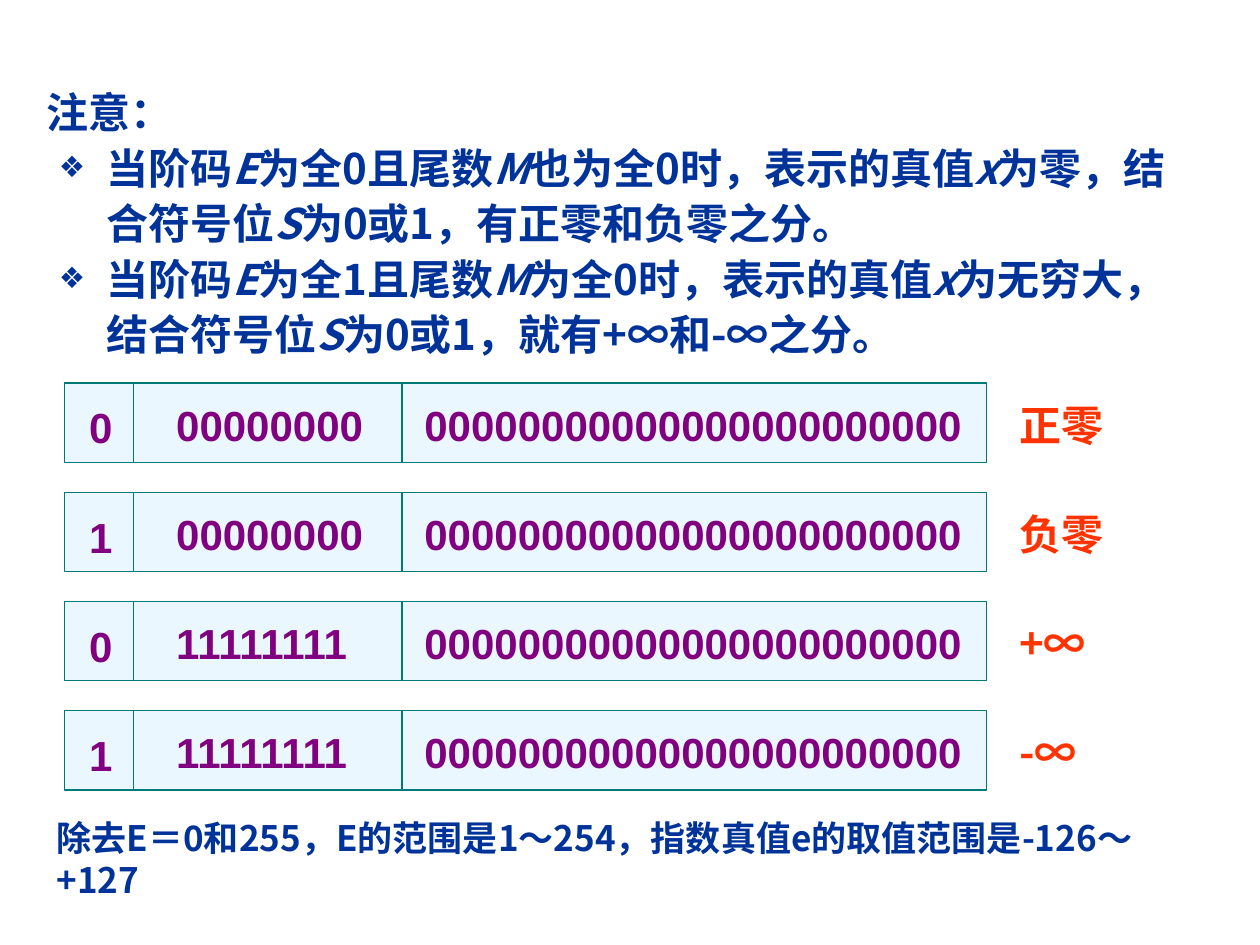
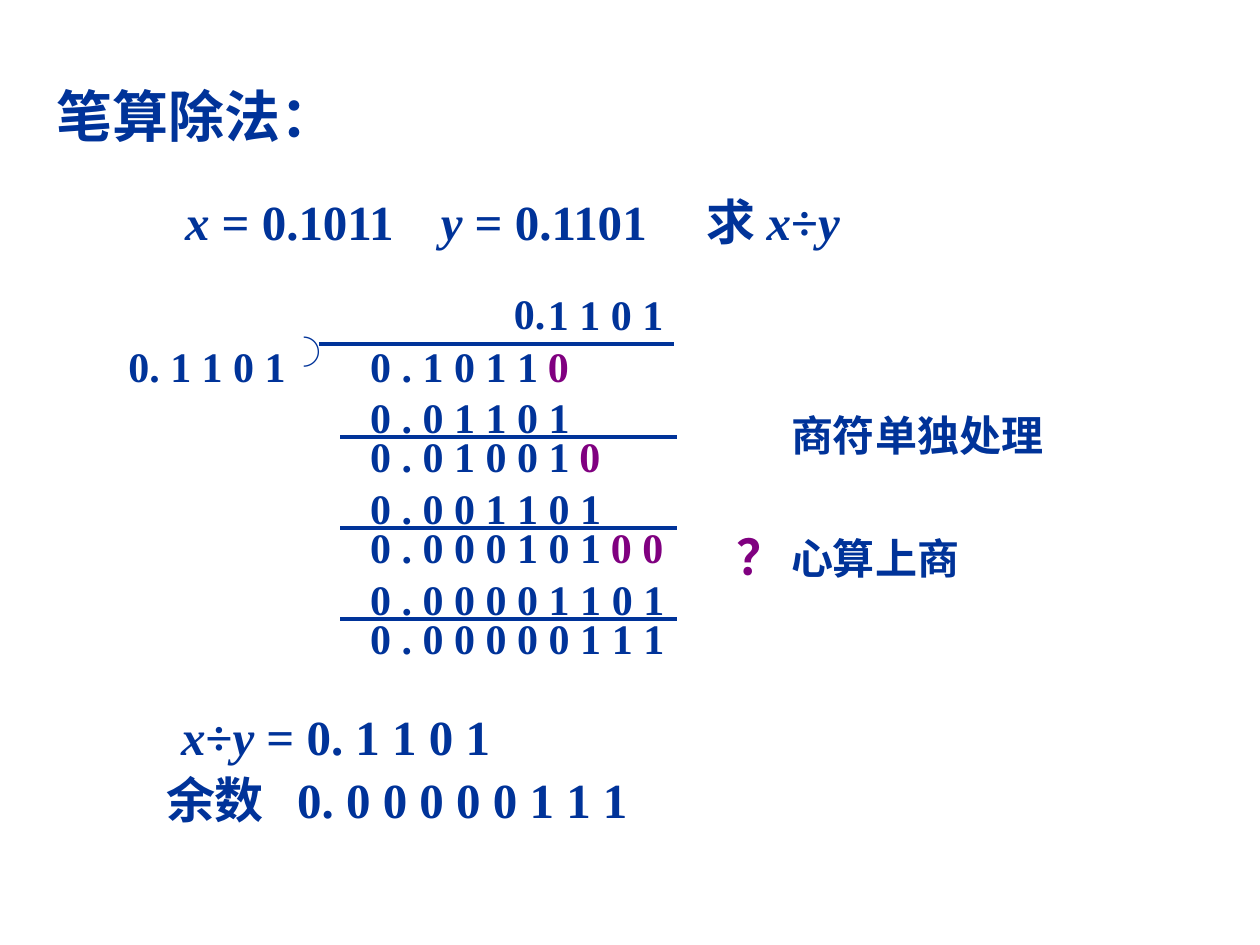
from lxml import etree
from pptx import Presentation
from pptx.dml.color import RGBColor
from pptx.enum.shapes import MSO_CONNECTOR, MSO_SHAPE
from pptx.oxml.ns import qn
from pptx.util import Inches, Pt

STRAIGHT = MSO_CONNECTOR.STRAIGHT
RECTANGLE = MSO_SHAPE.RECTANGLE

NAVY = RGBColor(0x00, 0x33, 0x99)
PURPLE = RGBColor(0x80, 0x00, 0x80)
ORANGE = RGBColor(0xFF, 0x33, 0x00)
TEAL = RGBColor(0x00, 0x7A, 0x77)
PALE_BLUE = RGBColor(0xEB, 0xF7, 0xFF)

SANS = "Arial"
SERIF = "Times New Roman"
HAN = "Noto Sans CJK SC"

SLIDE_WIDTH, SLIDE_HEIGHT = Inches(10), Inches(7.5)
COLUMN, ROW = SLIDE_WIDTH / 100, SLIDE_HEIGHT / 75

REGISTERS = [
    ("0", "0" * 8, "正零", SANS),
    ("1", "0" * 8, "负零", SANS),
    ("0", "1" * 8, "+∞", HAN),
    ("1", "1" * 8, "-∞", HAN),
]
REGISTER_TOP, REGISTER_PITCH, REGISTER_HEIGHT = 30.4, 8.67, 6.3
REGISTER_LEFT, REGISTER_WIDTH = 5.1, 73.2
FIELD_DIVIDERS = (10.6, 31.9)

DIVISION_STEPS = [
    ("0 . 1 0 1 1", "0 . 0 1 1 0 1", (0,)),
    ("0 . 0 1 0 0 1", "0 . 0 0 1 1 0 1", (1,)),
    ("0 . 0 0 0 1 0 1", "0 . 0 0 0 0 1 1 0 1", (2, 3)),
]
REMAINDER = "0 . 0 0 0 0 0 1 1 1"
STEP_TOP, STEP_PITCH = 26.5, 7.2
DIGIT_LEFT, DIGIT_PITCH = 42.5, 2.5


def place(left, top, width, height):
    return (round(left * COLUMN), round(top * ROW),
            round(width * COLUMN), round(height * ROW))


def write(paragraph, text, size, font, color):
    if font == HAN or any(letter > "⺀" for letter in text):
        paragraph.line_spacing = Pt(size * 1.2)
    for index, part in enumerate(text.split("*")):
        if not part:
            continue
        run = paragraph.add_run()
        run.text = part
        run.font.size = Pt(size)
        run.font.bold = True
        run.font.italic = index % 2 == 1
        run.font.name = font
        run.font.color.rgb = color
        east_asian = etree.Element(qn("a:ea"), typeface=HAN)
        run.font._element.find(qn("a:latin")).addnext(east_asian)


def add_frame(slide, left, top, width, height):
    box = slide.shapes.add_textbox(*place(left, top, width, height))
    box.text_frame.word_wrap = True
    return box


def add_label(slide, text, left, top, width, height=5, size=24,
              font=SERIF, color=NAVY, tabs=()):
    box = add_frame(slide, left, top, width, height)
    paragraph = box.text_frame.paragraphs[0]
    if tabs:
        properties = paragraph._p.get_or_add_pPr()
        stops = etree.SubElement(properties, qn("a:tabLst"))
        for stop in tabs:
            etree.SubElement(stops, qn("a:tab"),
                             pos=str(round(stop * COLUMN)), algn="l")
    write(paragraph, text, size, font, color)
    return box


def add_rule(slide, left, top, right, bottom, color, weight):
    rule = slide.shapes.add_connector(
        STRAIGHT, round(left * COLUMN), round(top * ROW),
        round(right * COLUMN), round(bottom * ROW))
    rule.line.color.rgb = color
    rule.line.width = Pt(weight)
    etree.SubElement(rule._element.spPr, qn("a:effectLst"))


def set_bullet(paragraph):
    properties = paragraph._p.get_or_add_pPr()
    properties.set("marL", str(Inches(0.48)))
    properties.set("indent", str(-Inches(0.38)))
    bullet_color = etree.SubElement(properties, qn("a:buClr"))
    etree.SubElement(bullet_color, qn("a:srgbClr"), val=str(NAVY))
    etree.SubElement(properties, qn("a:buSzPct"), val="70000")
    etree.SubElement(properties, qn("a:buFont"), typeface=SANS)
    etree.SubElement(properties, qn("a:buChar"), char="❖")


def add_notice(slide, heading, points):
    frame = add_frame(slide, 2.7, 6, 93.4, 25.2).text_frame
    for index, text in enumerate([heading, *points]):
        paragraph = frame.add_paragraph() if index else frame.paragraphs[0]
        if index:
            set_bullet(paragraph)
        write(paragraph, text, 24, HAN, NAVY)
        paragraph.line_spacing = Pt(31.7)


def add_register(slide, top, sign, exponent, meaning, meaning_font):
    body = slide.shapes.add_shape(
        RECTANGLE, *place(REGISTER_LEFT, top, REGISTER_WIDTH, REGISTER_HEIGHT))
    body.shadow.inherit = False
    body.fill.solid()
    body.fill.fore_color.rgb = PALE_BLUE
    body.line.color.rgb = TEAL
    body.line.width = Pt(0.75)
    for divider in FIELD_DIVIDERS:
        add_rule(slide, divider, top, divider, top + REGISTER_HEIGHT, TEAL, 0.75)
    add_label(slide, sign, 6.1, top + 1, 4.7, font=SANS, color=PURPLE)
    for bits, left, width in ((exponent, 13, 17.5), ("0" * 23, 32.7, 45.7)):
        add_label(slide, bits, left, top + 0.8, width, font=SANS, color=PURPLE)
    add_label(slide, meaning, 79.9, top + 0.8, 11, font=meaning_font, color=ORANGE)


def add_digit(slide, digit, position, top, color):
    add_label(slide, digit, DIGIT_LEFT + position * DIGIT_PITCH, top, 5.8,
              color=color)


def add_long_division(slide):
    add_label(slide, "0. 1 1 0 1", 9.2, STEP_TOP, 16)
    add_rule(slide, 25.3, 27.3, 53.5, 27.3, NAVY, 2.25)
    add_label(slide, "⌒", 22.8, 25.8, 5.3).rotation = 90
    add_label(slide, "0.", 39.8, 22.3, 5.4)
    for position, digit in enumerate("1101"):
        add_digit(slide, digit, position, 22.4, NAVY)
    for step, (dividend, subtrahend, zeros) in enumerate(DIVISION_STEPS):
        top = STEP_TOP + step * STEP_PITCH
        add_label(slide, dividend, 28.4, top, 27)
        add_label(slide, subtrahend, 28.4, top + 4.1, 27)
        add_rule(slide, 27, top + 8.2, 53.7, top + 8.2, NAVY, 2.25)
        for position in zeros:
            add_digit(slide, "0", position, top, PURPLE)
    add_label(slide, REMAINDER, 28.4,
              STEP_TOP + len(DIVISION_STEPS) * STEP_PITCH, 27)


def build_special_values(slide):
    add_notice(slide, "注意：", [
        "当阶码*E*为全0且尾数*M*也为全0时，表示的真值*x*为零，"
        "结合符号位*S*为0或1，有正零和负零之分。",
        "当阶码*E*为全1且尾数*M*为全0时，表示的真值*x*为无穷大，"
        "结合符号位*S*为0或1，就有+∞和-∞之分。",
    ])
    for index, register in enumerate(REGISTERS):
        add_register(slide, REGISTER_TOP + index * REGISTER_PITCH, *register)
    add_label(slide, "除去E＝0和255，E的范围是1～254，"
              "指数真值e的取值范围是-126～+127",
              3.5, 64.3, 92.1, 7.7, size=20, font=HAN)


def build_division(slide):
    add_label(slide, "笔算除法：", 3.5, 6, 36.8, 6.4, size=32)
    add_label(slide, "*x* = 0.1011\t*y* = 0.1101\t求 *x*÷*y*",
              13.7, 14.7, 64.2, 5.7, size=28, tabs=(20.3, 41.4))
    add_long_division(slide)
    add_label(slide, "商符单独处理", 61.8, 32, 23.6)
    add_label(slide, "心算上商", 61.8, 41.8, 17.3)
    add_label(slide, "？", 57.5, 41.3, 5.9, 5.7, size=28, color=PURPLE)
    add_label(slide, "*x*÷*y* = 0. 1 1 0 1", 13.4, 55.6, 30, 5.7, size=28)
    add_label(slide, "余数\t0. 0 0 0 0 0 1 1 1", 12.2, 60.6, 42, 5.7,
              size=28, tabs=(10.4,))


def main():
    deck = Presentation()
    deck.slide_width, deck.slide_height = SLIDE_WIDTH, SLIDE_HEIGHT
    blank = deck.slide_layouts[6]
    for build in (build_special_values, build_division):
        build(deck.slides.add_slide(blank))
    deck.save("out.pptx")


if __name__ == "__main__":
    main()
